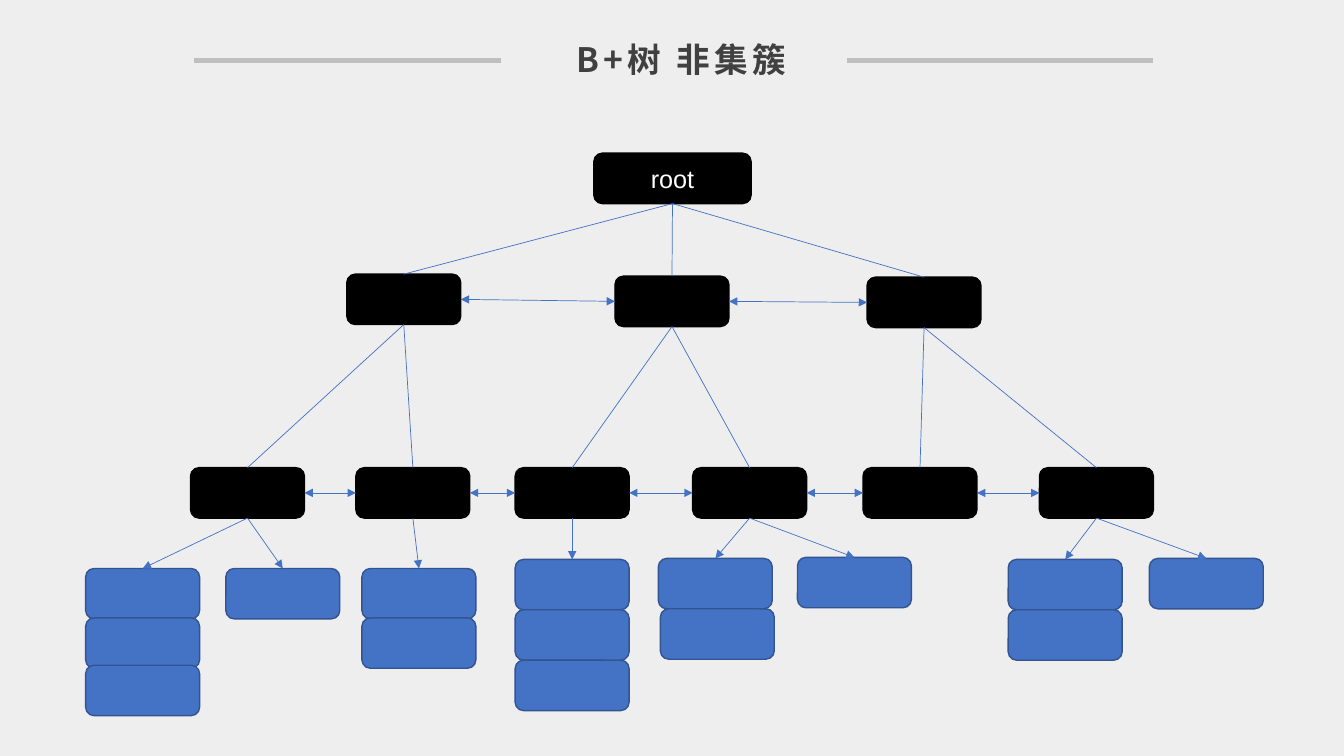
"""Draw a non-clustered B+ tree whose leaf nodes point to stacks of records."""
from dataclasses import dataclass
from itertools import pairwise
from typing import Any

from lxml.etree import SubElement
from pptx import Presentation
from pptx.dml.color import RGBColor
from pptx.enum.shapes import MSO_CONNECTOR, MSO_SHAPE
from pptx.enum.text import MSO_ANCHOR, MSO_AUTO_SIZE, PP_ALIGN
from pptx.oxml.ns import qn
from pptx.shapes.autoshape import Shape
from pptx.shapes.connector import Connector
from pptx.slide import Slide
from pptx.util import Inches, Pt

COLOURS = {
    "page": "EEEEEE", "rule": "BFBFBF", "title": "404040", "node": "000000",
    "label": "FFFFFF", "link": "4472C4", "record": "4472C4", "edge": "325491",
}
PAGE_WIDTH, PAGE_HEIGHT = Inches(13.33), Inches(7.5)
COLUMN, ROW = PAGE_WIDTH / 133.3, PAGE_HEIGHT / 75
TOP, LEFT, BOTTOM, RIGHT = range(4)
LEAF_ROW = 46.4
TITLE_FORMAT = {"name": "Noto Sans CJK SC", "size": Pt(24), "bold": True}
LABEL_FORMAT = {"name": "Arial", "size": Pt(18)}


@dataclass(frozen=True)
class Box:
    left: float
    top: float
    width: float = 11.3
    height: float = 5
    fill: str = "node"
    edge: str = "node"


@dataclass(frozen=True)
class Leaf:
    box: Box
    stacks: tuple[tuple[Box, ...], ...] = ()


@dataclass(frozen=True)
class Branch:
    box: Box
    leaves: tuple[Leaf, ...]


def record(left: float, top: float) -> Box:
    return Box(left, top, fill="record", edge="edge")


def leaf(left: float, *stacks: tuple[Box, ...]) -> Leaf:
    return Leaf(Box(left, LEAF_ROW), stacks)


def stack(left: float, *tops: float) -> tuple[Box, ...]:
    return tuple(record(left, top) for top in tops)


ROOT = Box(58.9, 15.2, width=15.6)
BRANCHES = (
    Branch(Box(34.4, 27.2), (
        leaf(18.9, stack(8.5, 56.4, 61.3, 66), stack(22.4, 56.4)),
        leaf(35.3, stack(35.9, 56.4, 61.3)),
    )),
    Branch(Box(61, 27.4), (
        leaf(51.1, stack(51.1, 55.5, 60.5, 65.5)),
        leaf(68.7, (record(65.3, 55.4), record(65.5, 60.4)), stack(79.1, 55.3)),
    )),
    Branch(Box(86, 27.5), (
        leaf(85.6),
        leaf(103.1, stack(100, 55.5, 60.5), stack(114, 55.4)),
    )),
)


def colour(name: str) -> RGBColor:
    return RGBColor.from_string(COLOURS[name])


def apply_format(target: Any, values: dict[str, Any]) -> None:
    for name, value in values.items():
        setattr(target, name, value)


def place(box: Box) -> tuple[int, int, int, int]:
    return (round(box.left * COLUMN), round(box.top * ROW),
            round(box.width * COLUMN), round(box.height * ROW))


def draw_box(page: Slide, box: Box) -> Shape:
    shape = page.shapes.add_shape(MSO_SHAPE.ROUNDED_RECTANGLE, *place(box))
    shape.shadow.inherit = False
    shape.fill.solid()
    shape.fill.fore_color.rgb = colour(box.fill)
    shape.line.color.rgb = colour(box.edge)
    shape.line.width = Pt(1)
    return shape


def write(shape: Shape, text: str, ink: str, values: dict[str, Any]) -> Any:
    para = shape.text_frame.paragraphs[0]
    para.alignment = PP_ALIGN.CENTER
    span = para.add_run()
    span.text = text
    apply_format(span.font, values)
    span.font.color.rgb = colour(ink)
    return span


def draw_line(page: Slide, ink: str, width: float,
              ends: tuple[float, float, float, float] = (0, 0, 0, 0)) -> Connector:
    points = (round(end * unit) for end, unit in zip(ends, (COLUMN, ROW) * 2))
    line = page.shapes.add_connector(MSO_CONNECTOR.STRAIGHT, *points)
    line.line.color.rgb = colour(ink)
    line.line.width = Pt(width)
    SubElement(line._element.spPr, qn("a:effectLst"))
    return line


def link(page: Slide, start: Shape, start_side: int, end: Shape, end_side: int,
         *arrows: str) -> None:
    line = draw_line(page, "link", 0.5)
    line.begin_connect(start, start_side)
    line.end_connect(end, end_side)
    outline = line._element.spPr.find(qn("a:ln"))
    for arrow in arrows:
        SubElement(outline, qn(f"a:{arrow}"), type="triangle")


def link_row(page: Slide, shapes: list[Shape]) -> None:
    for first, second in pairwise(shapes):
        link(page, first, RIGHT, second, LEFT, "headEnd", "tailEnd")


def draw_title(page: Slide) -> None:
    for start, end in ((19.2, 49.7), (84, 114.4)):
        draw_line(page, "rule", 3, (start, 6, end, 6))
    title = page.shapes.add_textbox(*place(Box(50.2, 3.4, 34.7)))
    apply_format(title.text_frame, {
        "word_wrap": True, "auto_size": MSO_AUTO_SIZE.SHAPE_TO_FIT_TEXT})
    span = write(title, "B+树 非集簇", "title", TITLE_FORMAT)
    properties = span._r.get_or_add_rPr()
    properties.set("spc", "300")
    SubElement(properties, qn("a:ea"), typeface=TITLE_FORMAT["name"])


def draw_tree(page: Slide) -> None:
    root = draw_box(page, ROOT)
    root.text_frame.vertical_anchor = MSO_ANCHOR.MIDDLE
    write(root, "root", "label", LABEL_FORMAT)
    branch_shapes, leaf_shapes = [], []
    for branch in BRANCHES:
        branch_shape = draw_box(page, branch.box)
        branch_shapes.append(branch_shape)
        link(page, root, BOTTOM, branch_shape, TOP)
        for child in branch.leaves:
            leaf_shape = draw_box(page, child.box)
            leaf_shapes.append(leaf_shape)
            link(page, branch_shape, BOTTOM, leaf_shape, TOP)
            for records in child.stacks:
                first, *_ = [draw_box(page, box) for box in records]
                link(page, leaf_shape, BOTTOM, first, TOP, "tailEnd")
    link_row(page, branch_shapes)
    link_row(page, leaf_shapes)


def main() -> None:
    deck = Presentation()
    apply_format(deck, {"slide_width": PAGE_WIDTH, "slide_height": PAGE_HEIGHT})
    page = deck.slides.add_slide(deck.slide_layouts[6])
    page.background.fill.solid()
    page.background.fill.fore_color.rgb = colour("page")
    draw_title(page)
    draw_tree(page)
    deck.save("out.pptx")


if __name__ == "__main__":
    main()
